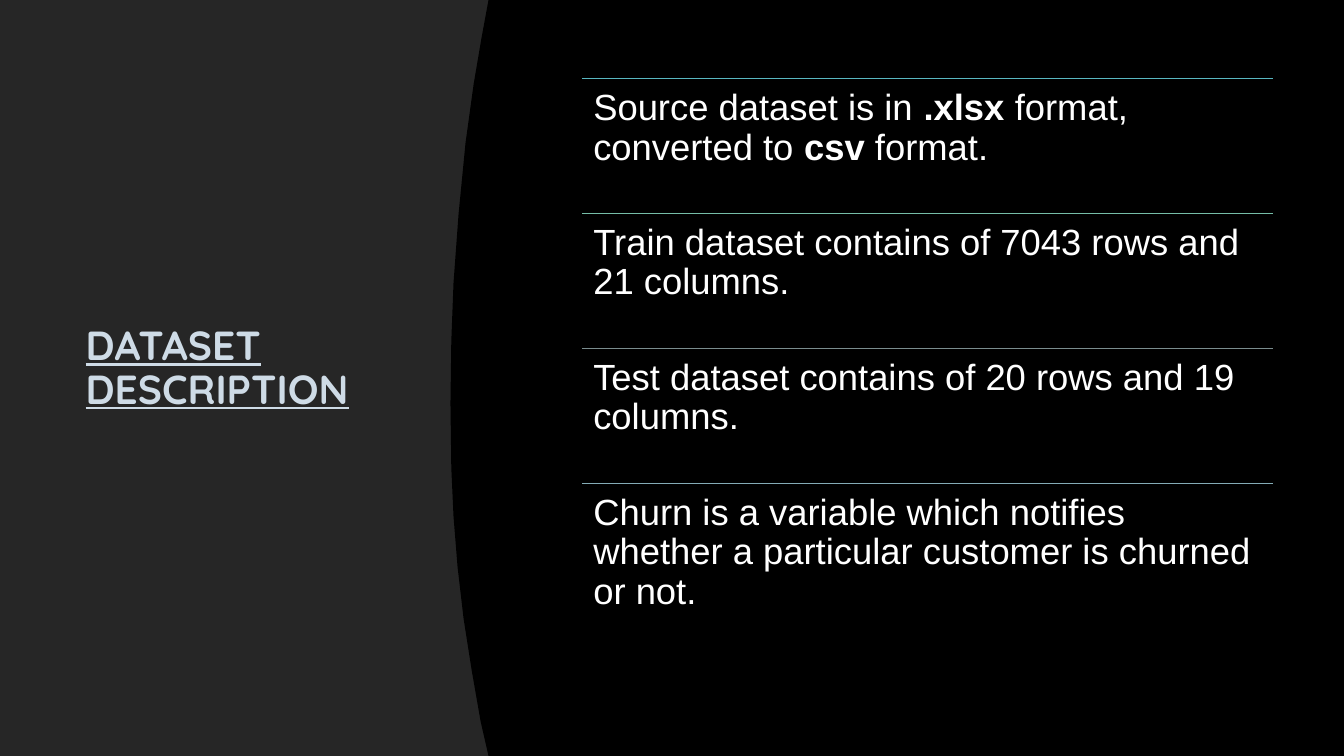
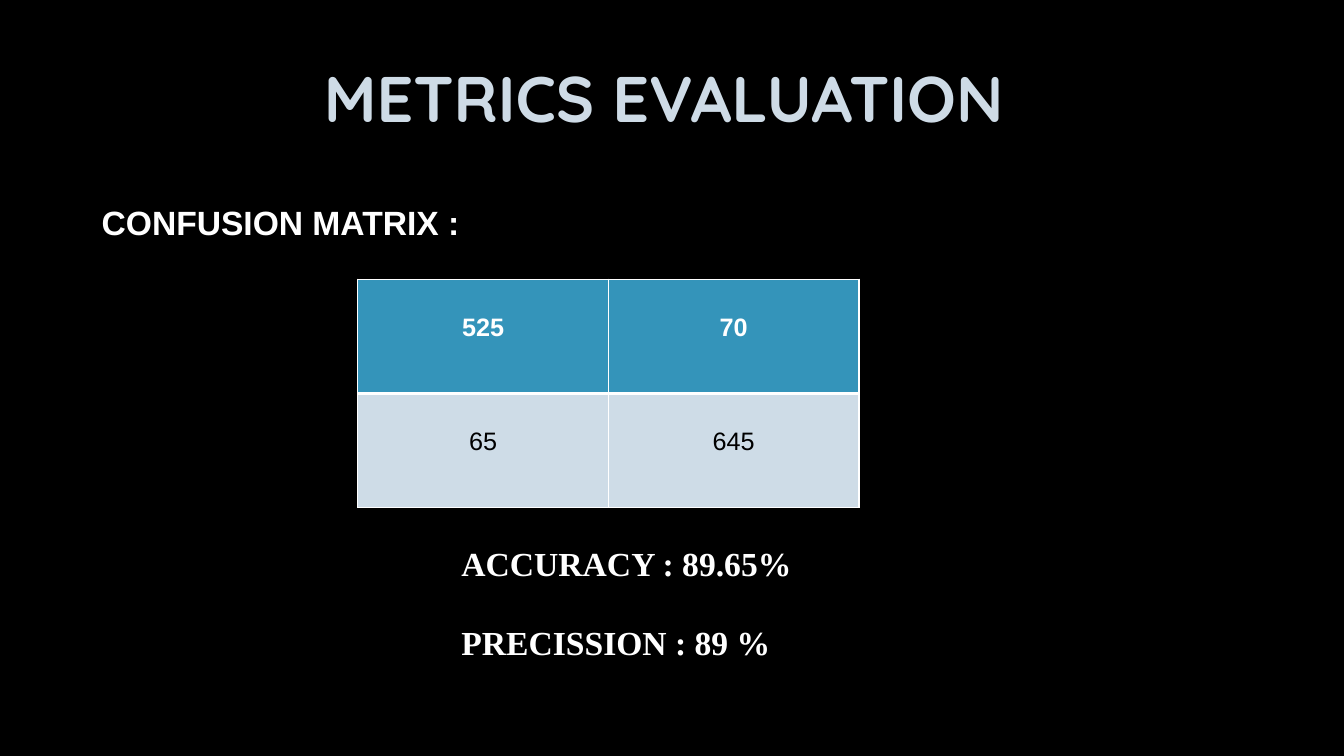
"""Build two dark slides: a dataset description and a metrics evaluation."""
from lxml import etree
from pptx import Presentation
from pptx.dml.color import RGBColor
from pptx.enum.shapes import MSO_CONNECTOR, MSO_SHAPE
from pptx.enum.text import MSO_ANCHOR, MSO_AUTO_SIZE, PP_ALIGN
from pptx.oxml.ns import qn
from pptx.util import Pt

STRAIGHT = MSO_CONNECTOR.STRAIGHT
RECTANGLE = MSO_SHAPE.RECTANGLE
MIDDLE = MSO_ANCHOR.MIDDLE
TOP = MSO_ANCHOR.TOP
NO_AUTOFIT = MSO_AUTO_SIZE.NONE
LEFT = PP_ALIGN.LEFT
CENTER = PP_ALIGN.CENTER

BLACK = RGBColor(0x00, 0x00, 0x00)
WHITE = RGBColor(0xFF, 0xFF, 0xFF)
CHARCOAL = RGBColor(0x26, 0x26, 0x26)
TITLE_BLUE = RGBColor(0xCE, 0xDB, 0xE6)
HEADER_BLUE = RGBColor(0x34, 0x94, 0xBA)
CELL_BLUE = RGBColor(0xCE, 0xDC, 0xE7)
AQUA = RGBColor(0x58, 0xB6, 0xC0)
GREEN = RGBColor(0x75, 0xBD, 0xA7)
SLATE = RGBColor(0x7A, 0x8C, 0x8E)
STEEL = RGBColor(0x84, 0xAC, 0xB6)

TITLE_FONT = "Quicksand"
BODY_FONT = "Arial"
RESULT_FONT = "Times New Roman"
WIDTH, HEIGHT = 960, 540

presentation = Presentation()
presentation.slide_width, presentation.slide_height = Pt(WIDTH), Pt(HEIGHT)
background = presentation.slide_master.background.fill
background.solid()
background.fore_color.rgb = BLACK
title_only = presentation.slide_layouts[5]


def add_titled_slide(text, box, size, alignment):
    """Add a slide with its title placed and formatted."""
    slide = presentation.slides.add_slide(title_only)
    title = slide.shapes.title
    title.left, title.top, title.width, title.height = map(Pt, box)
    frame = title.text_frame
    frame.text = text
    frame.auto_size = NO_AUTOFIT
    frame.vertical_anchor = MIDDLE
    paragraph = frame.paragraphs[0]
    paragraph.alignment = alignment
    paragraph.line_spacing = 0.9
    font = paragraph.font
    font.name, font.size, font.bold = TITLE_FONT, Pt(size), True
    font.color.rgb = TITLE_BLUE
    return slide


def add_text(slide, box, paragraphs, name, size, gap=0):
    """Add a wrapped text box from paragraphs made of (text, bold) runs."""
    frame = slide.shapes.add_textbox(*map(Pt, box)).text_frame
    frame.word_wrap = True
    for index, runs in enumerate(paragraphs):
        paragraph = frame.add_paragraph() if index else frame.paragraphs[0]
        if index:
            paragraph.space_before = Pt(gap)
        for text, bold in runs:
            run = paragraph.add_run()
            run.text, run.font.bold = text, bold
        font = paragraph.font
        font.name, font.size = name, Pt(size)
        font.color.rgb = WHITE
    return frame


slide = add_titled_slide("DATASET DESCRIPTION", (54, 56, 220, 415.5), 29, LEFT)
title = slide.shapes.title
title.text_frame.paragraphs[0].font.underline = True

panel = slide.shapes.add_shape(RECTANGLE, 0, 0, Pt(WIDTH), Pt(HEIGHT))
title.element.addprevious(panel.element)

CURVE = [
    (349, 0), (344, 27), (338.4, 60), (332.6, 102), (327.6, 153),
    (324, 202), (322.4, 244), (321.8, 288), (322.4, 334), (324, 369),
    (326.9, 405), (331.2, 442), (337, 479), (343.4, 515.5), (349, 540),
]
builder = slide.shapes.build_freeform(Pt(WIDTH), 0)
builder.add_line_segments([(Pt(x), Pt(y)) for x, y in CURVE + [(WIDTH, HEIGHT)]])
curved_area = builder.convert_to_shape()

for shape, color in ((panel, CHARCOAL), (curved_area, BLACK)):
    shape.shadow.inherit = False
    shape.fill.solid()
    shape.fill.fore_color.rgb = color
    shape.line.fill.background()

FACTS = [
    (AQUA, [("Source dataset is in ", False), (".xlsx ", True),
            ("format, converted to ", False), ("csv", True), (" format.", False)]),
    (GREEN, [("Train dataset contains of 7043 rows and 21 columns.", False)]),
    (SLATE, [("Test dataset contains of 20 rows and 19 columns.", False)]),
    (STEEL, [("Churn is a variable which notifies whether a particular "
              "customer is churned or not.", False)]),
]
FACT_LEFT, FACT_TOP, FACT_WIDTH, FACT_HEIGHT = 416, 56, 493.5, 96.4
for index, (color, runs) in enumerate(FACTS):
    top = FACT_TOP + index * FACT_HEIGHT
    rule = slide.shapes.add_connector(
        STRAIGHT, Pt(FACT_LEFT), Pt(top), Pt(FACT_LEFT + FACT_WIDTH), Pt(top))
    rule.line.color.rgb = color
    rule.line.width = Pt(0.75)
    etree.SubElement(rule.element.spPr, qn("a:effectLst"))
    frame = add_text(slide, (FACT_LEFT, top, FACT_WIDTH, FACT_HEIGHT), [runs], BODY_FONT, 26)
    frame.margin_left = frame.margin_right = Pt(7.8)
    frame.margin_top = frame.margin_bottom = Pt(7.8)
    frame.paragraphs[0].line_spacing = 0.9

slide = add_titled_slide("METRICS EVALUATION", (66.5, 22.5, 815, 99.5), 46, CENTER)

MATRIX = [("525", "70"), ("65", "645")]
ROW_STYLES = [
    (HEADER_BLUE, WHITE, True, {"lnL": 1, "lnR": 1, "lnT": 1, "lnB": 3}),
    (CELL_BLUE, BLACK, False, {"lnL": 1, "lnR": 1, "lnT": 3, "lnB": 1}),
]
COLUMN_WIDTH, ROW_HEIGHT = 179, 81.7
table = slide.shapes.add_table(
    2, 2, Pt(255.6), Pt(199.4), Pt(2 * COLUMN_WIDTH), Pt(2 * ROW_HEIGHT)).table
for column in table.columns:
    column.width = Pt(COLUMN_WIDTH)
for row, values, (fill, color, bold, borders) in zip(table.rows, MATRIX, ROW_STYLES):
    row.height = Pt(ROW_HEIGHT)
    for cell, value in zip(row.cells, values):
        cell.text = value
        cell.vertical_anchor = TOP
        cell.margin_top = Pt(24.3)
        properties = cell._tc.get_or_add_tcPr()
        for side, width in borders.items():
            border = etree.SubElement(properties, qn(f"a:{side}"), w=str(Pt(width)))
            solid = etree.SubElement(border, qn("a:solidFill"))
            etree.SubElement(solid, qn("a:srgbClr"), val=str(WHITE))
        cell.fill.solid()
        cell.fill.fore_color.rgb = fill
        paragraph = cell.text_frame.paragraphs[0]
        paragraph.alignment = CENTER
        font = paragraph.font
        font.name, font.size, font.bold = BODY_FONT, Pt(18), bold
        font.color.rgb = color

add_text(slide, (65.5, 141, 295, 36), [[("CONFUSION MATRIX :", True)]], BODY_FONT, 24)
add_text(slide, (322.5, 384, 273.5, 94.5),
         [[("ACCURACY : 89.65%", True)], [("PRECISSION : 89 %", True)]],
         RESULT_FONT, 24, gap=27.6)

presentation.save("out.pptx")
